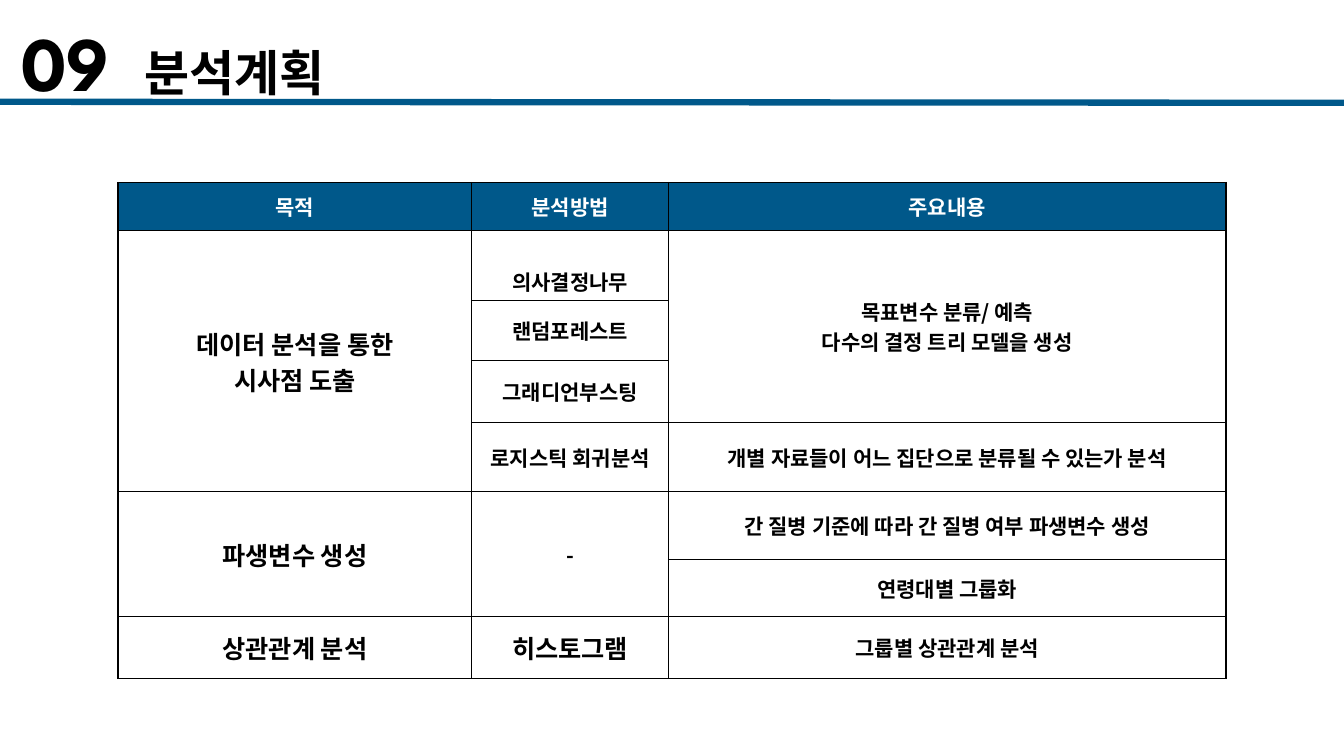
from dataclasses import dataclass

from lxml.etree import SubElement
from pptx import Presentation
from pptx.dml.color import RGBColor
from pptx.enum.shapes import MSO_CONNECTOR
from pptx.enum.text import MSO_ANCHOR, MSO_AUTO_SIZE, PP_ALIGN
from pptx.oxml import parse_xml
from pptx.oxml.ns import nsdecls, qn
from pptx.util import Inches, Pt


@dataclass(frozen=True)
class Theme:
    blue: RGBColor = RGBColor(0x00, 0x58, 0x8A)
    black: RGBColor = RGBColor(0, 0, 0)
    white: RGBColor = RGBColor(0xFF, 0xFF, 0xFF)
    number_font: str = "League Spartan"
    korean_font: str = "Noto Sans CJK KR"
    number_size: float = 55
    title_size: float = 35
    purpose_size: float = 18
    cell_size: float = 15
    rule_width: float = 4.5
    border_width: float = 1


THEME = Theme()
COLUMN_WIDTHS = [3.51, 1.95, 5.53]
ROW_HEIGHTS = [0.48, 0.69, 0.6, 0.61, 0.69, 0.67, 0.57, 0.61]
HEADERS = ["목적", "분석방법", "주요내용"]

# Row, column, rows spanned, text, type size
ENTRIES = [
    (1, 0, 4, "데이터 분석을 통한\n시사점 도출", THEME.purpose_size),
    (1, 1, 1, "의사결정나무", THEME.cell_size),
    (2, 1, 1, "랜덤포레스트", THEME.cell_size),
    (3, 1, 1, "그래디언부스팅", THEME.cell_size),
    (4, 1, 1, "로지스틱 회귀분석", THEME.cell_size),
    (1, 2, 3, "목표변수 분류/ 예측\n다수의 결정 트리 모델을 생성", THEME.cell_size),
    (4, 2, 1, "개별 자료들이 어느 집단으로 분류될 수 있는가 분석", THEME.cell_size),
    (5, 0, 2, "파생변수 생성", THEME.purpose_size),
    (5, 1, 2, "-", THEME.cell_size),
    (5, 2, 1, "간 질병 기준에 따라 간 질병 여부 파생변수 생성", THEME.cell_size),
    (6, 2, 1, "연령대별 그룹화", THEME.cell_size),
    (7, 0, 1, "상관관계 분석", THEME.purpose_size),
    (7, 1, 1, "히스토그램", THEME.purpose_size),
    (7, 2, 1, "그룹별 상관관계 분석", THEME.cell_size),
]


def style_paragraph(para, latin, color, size=None):
    """Set bold type, with the Korean font for East Asian letters."""
    font = para.font
    font.name, font.bold = latin, True
    font.color.rgb = color
    if size:
        font.size = Pt(size)
    defaults = para._p.get_or_add_pPr().find(qn("a:defRPr"))
    SubElement(defaults, qn("a:ea")).set("typeface", THEME.korean_font)


def add_title(page, number, heading):
    title = page.shapes.title
    title.left, title.top = Inches(0.08), Inches(0.2)
    title.width, title.height = Inches(12.67), Inches(0.81)
    frame = title.text_frame
    frame.word_wrap = True
    frame.auto_size = MSO_AUTO_SIZE.NONE
    frame.vertical_anchor = MSO_ANCHOR.MIDDLE
    frame.margin_left = frame.margin_right = Inches(0.13)
    frame.margin_top = frame.margin_bottom = Inches(0.07)
    para = frame.paragraphs[0]
    para.alignment = PP_ALIGN.LEFT
    stops = SubElement(para._p.get_or_add_pPr(), qn("a:tabLst"))
    stop = SubElement(stops, qn("a:tab"))
    stop.set("pos", str(Inches(1.22)))
    stop.set("algn", "l")
    style_paragraph(para, THEME.number_font, THEME.black)
    for text, size in ((number + "\t", THEME.number_size), (heading, THEME.title_size)):
        span = para.add_run()
        span.text = text
        span.font.size = Pt(size)


def add_rule(page):
    rule = page.shapes.add_connector(
        MSO_CONNECTOR.STRAIGHT, 0, Inches(1.01), Inches(13.33), Inches(1.02))
    rule.line.color.rgb = THEME.blue
    rule.line.width = Pt(THEME.rule_width)
    SubElement(rule._element.spPr, qn("a:effectLst"))


def format_cell(cell, fill):
    cell.fill.solid()
    cell.fill.fore_color.rgb = fill
    cell.vertical_anchor = MSO_ANCHOR.MIDDLE
    cell.margin_left = cell.margin_right = Inches(0.07)
    cell.margin_top = cell.margin_bottom = Inches(0.04)
    properties = cell._tc.get_or_add_tcPr()
    for index, side in enumerate("LRTB"):
        properties.insert(index, parse_xml(
            f'<a:ln{side} {nsdecls("a")} w="{Pt(THEME.border_width)}"><a:solidFill>'
            f'<a:srgbClr val="{THEME.black}"/></a:solidFill></a:ln{side}>'))


def write_cell(cell, text, color, size):
    cell.text = text
    for para in cell.text_frame.paragraphs:
        para.alignment = PP_ALIGN.CENTER
        style_paragraph(para, THEME.korean_font, color, size)


def add_plan_table(page):
    table = page.shapes.add_table(
        len(ROW_HEIGHTS), len(COLUMN_WIDTHS), Inches(1.17), Inches(1.81),
        Inches(sum(COLUMN_WIDTHS)), Inches(sum(ROW_HEIGHTS))).table
    table.horz_banding = False
    for column, width in zip(table.columns, COLUMN_WIDTHS):
        column.width = Inches(width)
    for index, (row, height) in enumerate(zip(table.rows, ROW_HEIGHTS)):
        row.height = Inches(height)
        for cell in row.cells:
            format_cell(cell, THEME.white if index else THEME.blue)
    for column, text in enumerate(HEADERS):
        write_cell(table.cell(0, column), text, THEME.white, THEME.cell_size)
    for row, column, span, text, size in ENTRIES:
        cell = table.cell(row, column)
        if span > 1:
            cell.merge(table.cell(row + span - 1, column))
        write_cell(cell, text, THEME.black, size)
    table.cell(1, 1).vertical_anchor = MSO_ANCHOR.BOTTOM


def main():
    deck = Presentation()
    deck.slide_width, deck.slide_height = Inches(13.33), Inches(7.5)
    page = deck.slides.add_slide(deck.slide_layouts.get_by_name("Title Only"))
    add_rule(page)
    add_title(page, "09", "분석계획")
    add_plan_table(page)
    deck.save("out.pptx")


if __name__ == "__main__":
    main()
